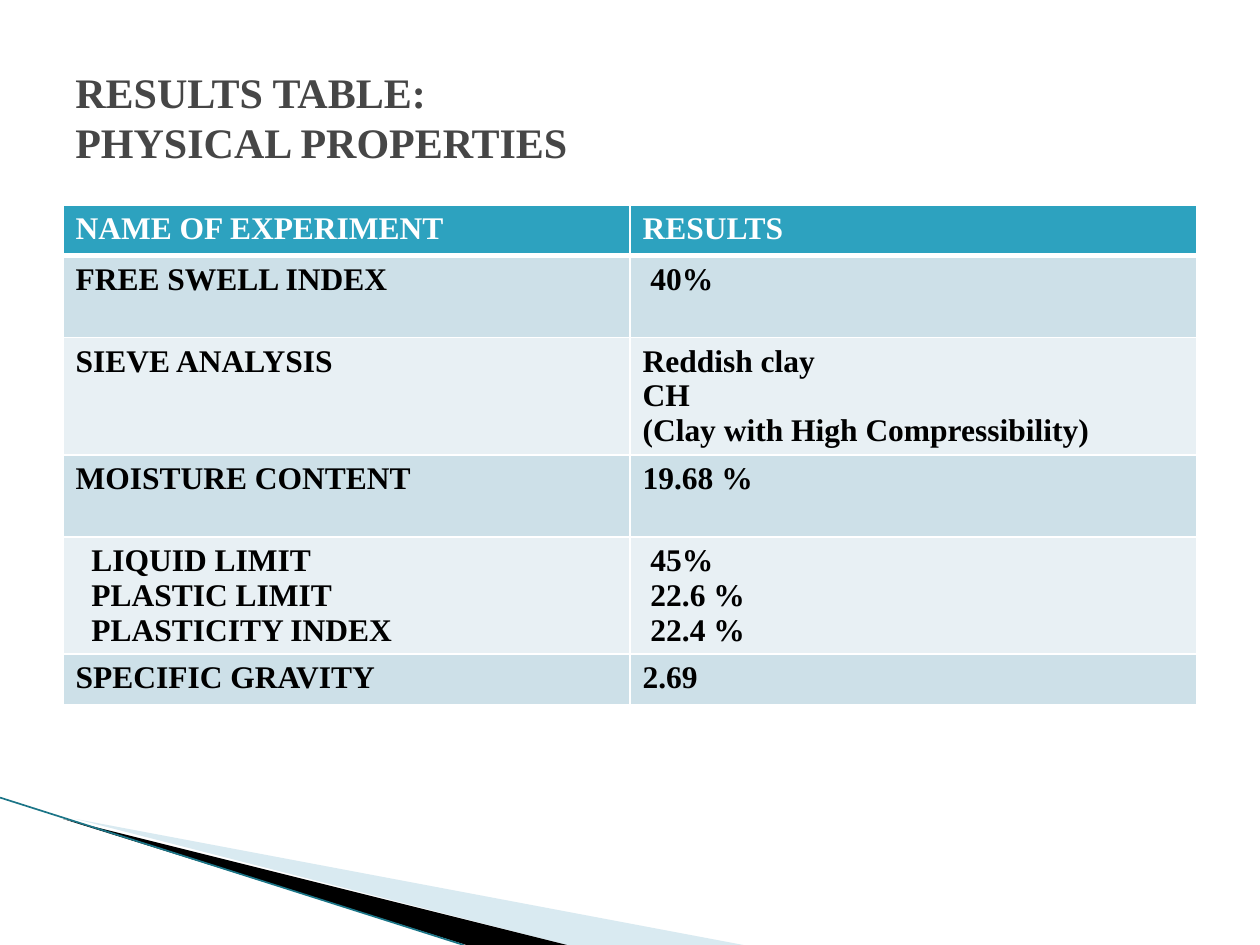
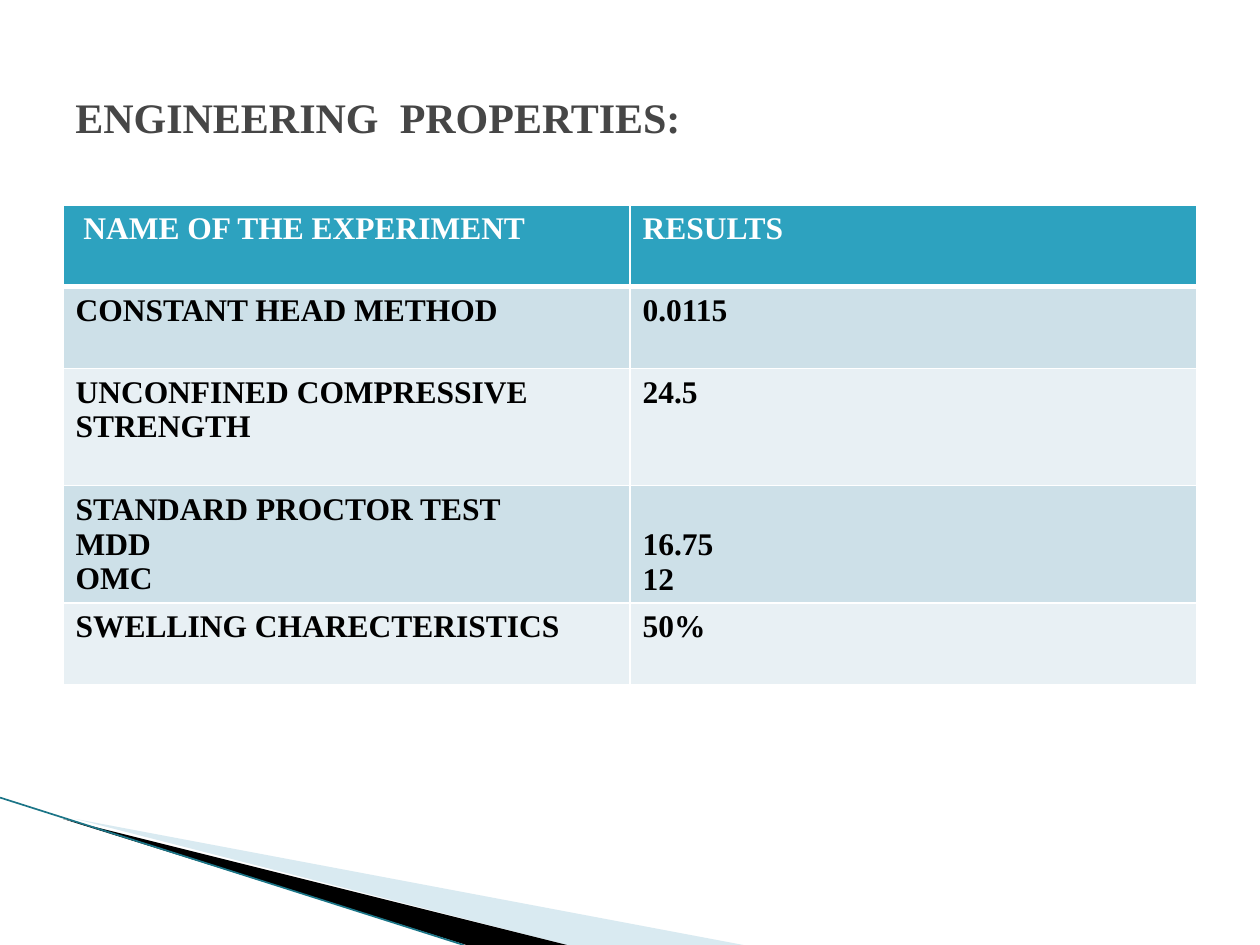
from dataclasses import dataclass

from lxml import etree
from pptx import Presentation
from pptx.dml.color import RGBColor
from pptx.enum.shapes import MSO_CONNECTOR
from pptx.enum.text import MSO_ANCHOR
from pptx.oxml.ns import qn
from pptx.util import Inches, Pt

STRAIGHT = MSO_CONNECTOR.STRAIGHT
MIDDLE = MSO_ANCHOR.MIDDLE
BLANK_LAYOUT = 6

# The slide is a grid of 100 columns and 75 rows.
UNIT = Inches(0.1)
COLUMNS, ROWS = 100, 75
TITLE_BOX = (5, 3, 90, 12.5)
TABLE_BOX = (5, 16.25, 90)
ROW_HEIGHTS = {1: 4.05, 2: 6.5, 3: 9.3}


@dataclass(frozen=True)
class Theme:
    font: str = "Times New Roman"
    title_size: int = 24
    table_size: int = 18
    line_height: float = 20.0
    space_width: float = 4.5
    title: str = "464646"
    header: str = "2DA2BF"
    header_text: str = "FFFFFF"
    body_text: str = "000000"
    bands: tuple = ("CDE0E8", "E8F0F4")
    border: str = "FFFFFF"
    pale_wedge: str = "A0CBDC"
    dark_wedge: str = "000000"
    edge: str = "1B7587"


THEME = Theme()


@dataclass(frozen=True)
class Cell:
    """Lines of text, set in by a number of space widths and down by blank lines."""
    lines: tuple
    indent: int = 0
    lines_above: int = 0


def cell(*lines, **offsets):
    return Cell(lines, **offsets)


# Each row: height in lines, experiment, result.
PHYSICAL_ROWS = [
    (1, cell("NAME OF EXPERIMENT"), cell("RESULTS")),
    (2, cell("FREE SWELL INDEX"), cell("40%", indent=1)),
    (3, cell("SIEVE ANALYSIS"),
     cell("Reddish clay", "CH", "(Clay with High Compressibility)")),
    (2, cell("MOISTURE CONTENT"), cell("19.68 %")),
    (3, cell("LIQUID LIMIT", "PLASTIC LIMIT", "PLASTICITY INDEX", indent=2),
     cell("45%", "22.6 %", "22.4 %", indent=1)),
    (1, cell("SPECIFIC GRAVITY"), cell("2.69")),
]
ENGINEERING_ROWS = [
    (2, cell("NAME OF THE EXPERIMENT", indent=1), cell("RESULTS")),
    (2, cell("CONSTANT HEAD METHOD"), cell("0.0115")),
    (3, cell("UNCONFINED COMPRESSIVE STRENGTH"), cell("24.5")),
    (3, cell("STANDARD PROCTOR TEST", "MDD", "OMC"),
     cell("16.75", "12", lines_above=1)),
    (2, cell("SWELLING CHARECTERISTICS"), cell("50%")),
]


def grid(*lengths):
    return [round(length * UNIT) for length in lengths]


def style_runs(paragraph, size, color):
    for run in paragraph.runs:
        run.font.name = THEME.font
        run.font.size = Pt(size)
        run.font.bold = True
        run.font.color.rgb = RGBColor.from_string(color)


def add_wedge(slide, points, color, alpha=None):
    builder = slide.shapes.build_freeform(*points[0], scale=UNIT)
    builder.add_line_segments(points[1:], close=True)
    wedge = builder.convert_to_shape()
    wedge.shadow.inherit = False
    wedge.fill.solid()
    wedge.fill.fore_color.rgb = RGBColor.from_string(color)
    wedge.line.fill.background()
    if alpha is not None:
        fill_color = wedge.fill._xPr.find(".//" + qn("a:srgbClr"))
        etree.SubElement(fill_color, qn("a:alpha"), val=str(alpha * 1000))


def add_corner_bands(slide):
    add_wedge(slide, [(5.5, 65.1), (59.2, ROWS), (45.4, ROWS), (5.5, 65)],
              THEME.pale_wedge, alpha=40)
    add_wedge(slide, [(5.3, 64.9), (45.4, ROWS), (36.8, ROWS), (5.4, 65)],
              THEME.dark_wedge)
    edge = slide.shapes.add_connector(STRAIGHT, *grid(0, 63.3, 36.8, ROWS))
    edge.line.color.rgb = RGBColor.from_string(THEME.edge)
    edge.line.width = Pt(0.95)
    etree.SubElement(edge._element.spPr, qn("a:effectLst"))


def add_title(slide, box, text, word_gap):
    """Add the title; word_gap widens the spaces by that many points."""
    frame = slide.shapes.add_textbox(*grid(*box)).text_frame
    frame.word_wrap = True
    frame.vertical_anchor = MIDDLE
    paragraph = frame.paragraphs[0]
    if word_gap:
        first, space, rest = text.partition(" ")
        for part in (first, space, rest):
            paragraph.add_run().text = part
        space_properties = paragraph.runs[1].font._element
        space_properties.set("spc", str(word_gap * 100))
    else:
        paragraph.text = text
    style_runs(paragraph, THEME.title_size, THEME.title)


def set_borders(table_cell, widths):
    properties = table_cell._tc.get_or_add_tcPr()
    for position, (side, width) in enumerate(widths.items()):
        line = etree.Element(qn("a:ln" + side), w=str(Pt(width)))
        fill = etree.SubElement(line, qn("a:solidFill"))
        etree.SubElement(fill, qn("a:srgbClr"), val=THEME.border)
        properties.insert(position, line)


def fill_cell(table_cell, content, row_index):
    is_header = row_index == 0
    background = THEME.header if is_header else THEME.bands[(row_index - 1) % 2]
    color = THEME.header_text if is_header else THEME.body_text
    table_cell.fill.solid()
    table_cell.fill.fore_color.rgb = RGBColor.from_string(background)
    set_borders(table_cell, {"L": 1, "R": 1, "T": 3 if row_index == 1 else 1,
                             "B": 3 if is_header else 1})
    table_cell.margin_top += Pt(THEME.line_height * content.lines_above)
    table_cell.margin_left += Pt(THEME.space_width * content.indent)
    table_cell.text_frame.text = "\n".join(content.lines)
    for paragraph in table_cell.text_frame.paragraphs:
        style_runs(paragraph, THEME.table_size, color)


def add_results_table(slide, box, rows):
    left, top, width = box
    heights = [ROW_HEIGHTS[lines] for lines, *_ in rows]
    table = slide.shapes.add_table(
        len(rows), 2, *grid(left, top, width, sum(heights))).table
    for row_index, (_, *contents) in enumerate(rows):
        table.rows[row_index].height = grid(heights[row_index])[0]
        for column_index, content in enumerate(contents):
            fill_cell(table.cell(row_index, column_index), content, row_index)


def add_results_slide(presentation, title, rows, word_gap=0):
    slide = presentation.slides.add_slide(presentation.slide_layouts[BLANK_LAYOUT])
    add_corner_bands(slide)
    add_results_table(slide, TABLE_BOX, rows)
    add_title(slide, TITLE_BOX, title, word_gap)


def main():
    presentation = Presentation()
    presentation.slide_width, presentation.slide_height = grid(COLUMNS, ROWS)
    add_results_slide(presentation, "RESULTS TABLE:\nPHYSICAL PROPERTIES",
                      PHYSICAL_ROWS)
    add_results_slide(presentation, "ENGINEERING PROPERTIES:", ENGINEERING_ROWS,
                      word_gap=6)
    presentation.save("out.pptx")


if __name__ == "__main__":
    main()
